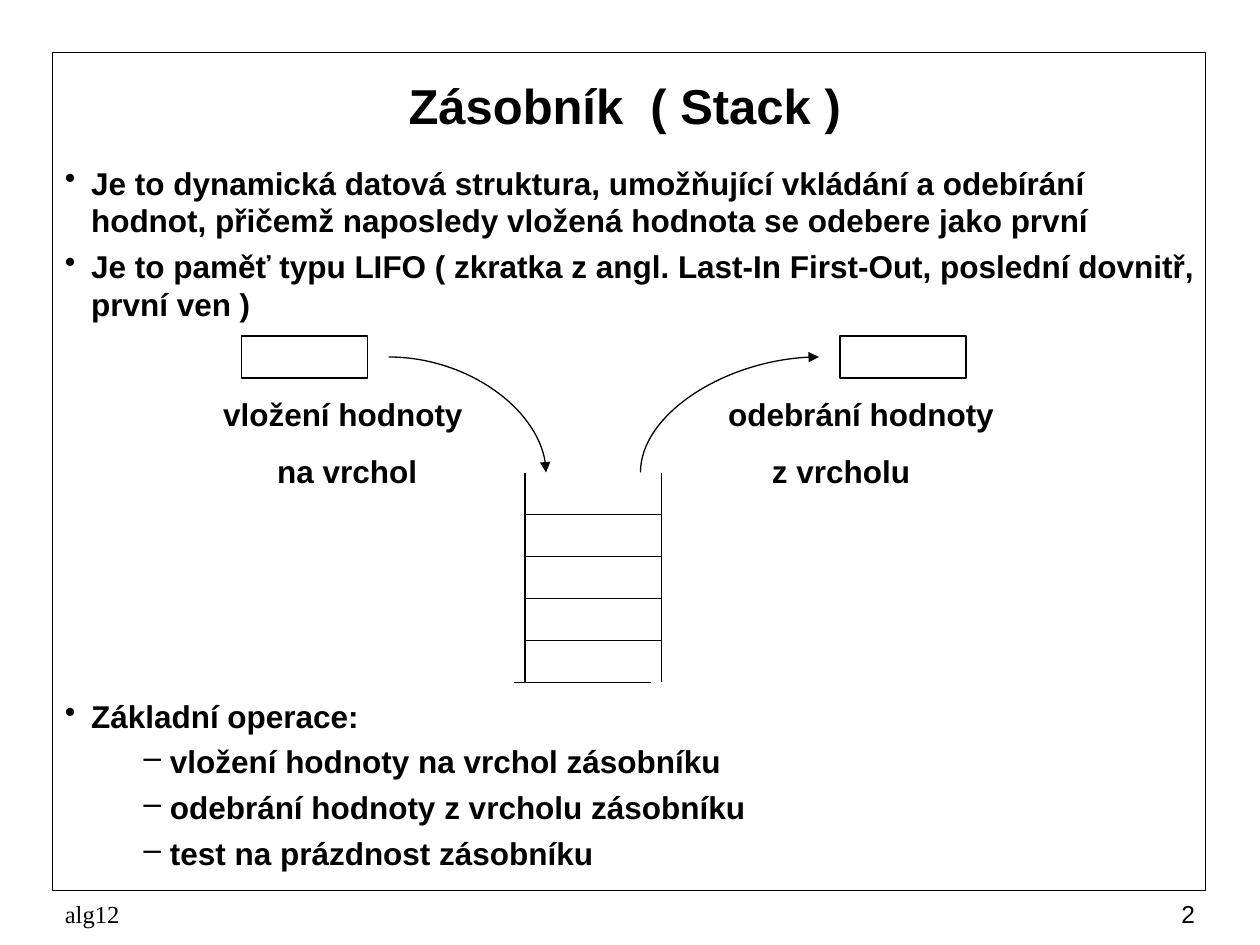
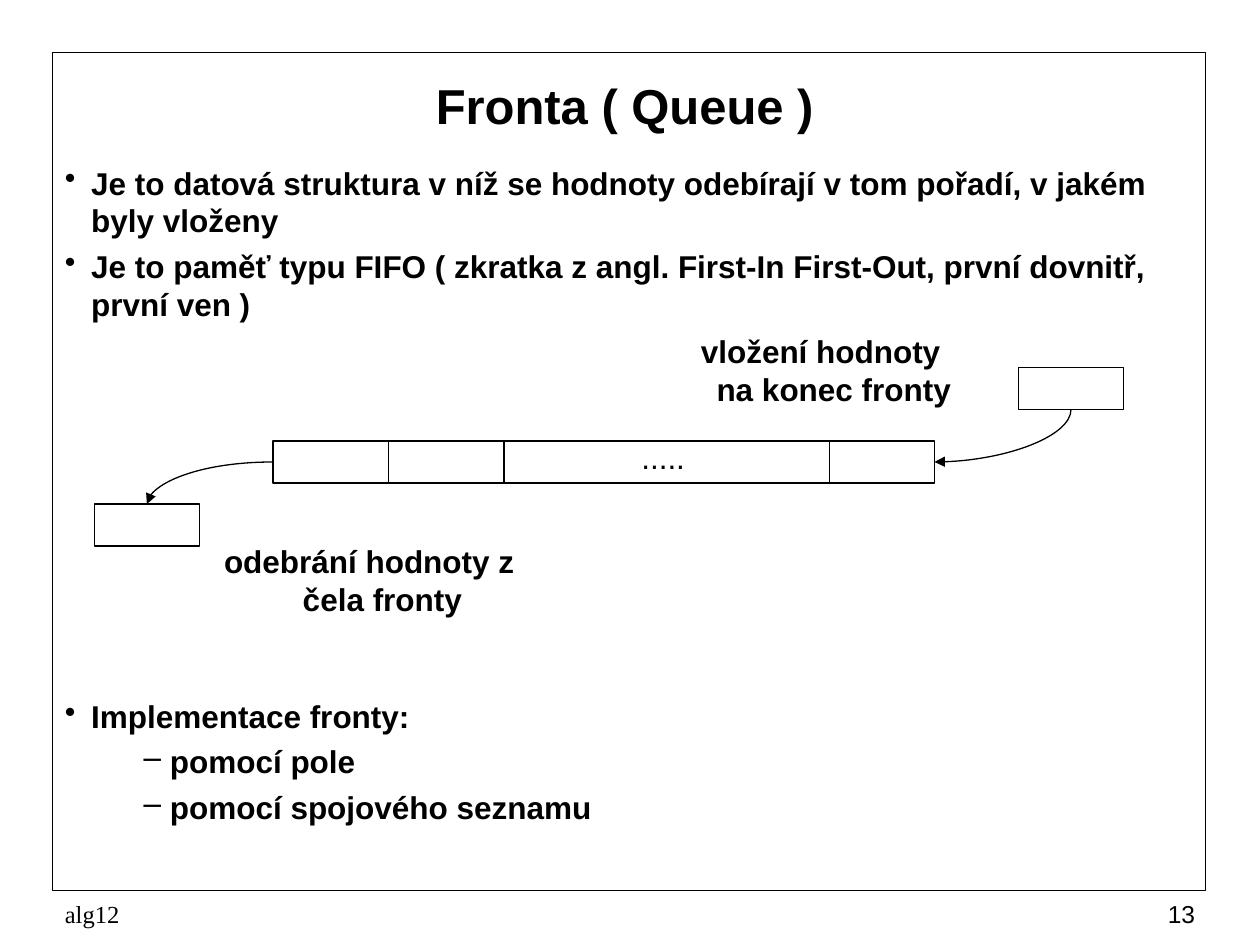
"""Build two slides on the stack and the queue."""
from pptx import Presentation
from pptx.dml.color import RGBColor
from pptx.enum.shapes import MSO_CONNECTOR as Link, MSO_SHAPE as Kind
from pptx.enum.text import MSO_ANCHOR as Anchor, PP_ALIGN as Align
from pptx.oxml.ns import qn
from pptx.util import Pt
from lxml.etree import SubElement as Sub

BLACK = RGBColor(0, 0, 0)
WHITE = RGBColor(255, 255, 255)
SANS, SERIF = "Arial", "Times New Roman"
FRAME = (30, 30, 659, 479)
TITLE = (36, 36, 642, 48)
INTRO = (30, 90, 660, 100)
LIST = (30, 394.6, 660, 115)
FOOT = (30, 510, 660, 24)
STACK = (102, 192, 486, 198)
QUEUE = (54, 186, 588, 171)
LEAF = 24
HANG = (23, -15)
MAIN = (15, -15, "•", 0)
ITEM = (60, -15, "–", 1)


def write(slide, box, lines, size=18, bold=True, font=SANS,
          align=Align.LEFT, anchor=Anchor.TOP, gap=0):
    """Put lines of (text, margin, indent, bullet, level) in a text box."""
    frame = slide.shapes.add_textbox(*map(Pt, box)).text_frame
    frame.word_wrap = True
    frame.vertical_anchor = anchor
    for i, (text, left, first, mark, level) in enumerate(lines):
        para = frame.add_paragraph() if i else frame.paragraphs[0]
        para.alignment, para.level = align, level
        para.line_spacing = Pt(size * 1.2)
        para.space_before = Pt(gap if i else 0)
        props = para._p.get_or_add_pPr()
        props.set("marL", str(Pt(left)))
        props.set("indent", str(Pt(first)))
        if mark:
            Sub(props, qn("a:buChar"), char=mark)
        run = para.add_run()
        run.text = text
        run.font.name, run.font.size, run.font.bold = font, Pt(size), bold
        run.font.color.rgb = BLACK


def plain(text):
    """Give one line without indent or bullet."""
    return [(text, 0, 0, None, 0)]


def label(slide, box, *texts, bold=True):
    """Write centred lines with a hanging indent."""
    write(slide, box, [(text, *HANG, None, 0) for text in texts],
          bold=bold, align=Align.CENTER, gap=11.2)


def rect(slide, box, width=0.75):
    """Draw an outlined rectangle without fill."""
    shape = slide.shapes.add_shape(Kind.RECTANGLE, *map(Pt, box))
    shape.shadow.inherit = False
    shape.fill.background()
    shape.line.color.rgb = BLACK
    shape.line.width = Pt(width)


def line(slide, *ends, kind=Link.STRAIGHT):
    """Draw a thin line from x, y to x, y."""
    link = slide.shapes.add_connector(kind, *map(Pt, ends))
    link.line.color.rgb = BLACK
    link.line.width = Pt(0.75)
    Sub(link._element.spPr, qn("a:effectLst"))
    return link


def curve(slide, x1, y1, x2, y2, steep=False):
    """Draw a quarter-turn arrow that starts level, or steep if asked."""
    if steep:
        mx, my = (x1 + x2) / 2, (y1 + y2) / 2
        dx, dy = (x2 - x1) / 2, (y2 - y1) / 2
        x1, y1, x2, y2 = mx - dy, my + dx, mx + dy, my - dx
    link = line(slide, x1, y1, x2, y2, kind=Link.CURVE)
    props = link._element.spPr
    props.find(qn("a:prstGeom")).set("prst", "curvedConnector2")
    if steep:
        props.find(qn("a:xfrm")).set("rot", str(90 * 60000))
    Sub(props.find(qn("a:ln")), qn("a:tailEnd"), type="triangle")


def foot(slide, box, number):
    """Write the course name at left and the page number at right."""
    x, y, w, h = box
    write(slide, (x, y, 228, h), plain("alg12"), 14, False, SERIF,
          anchor=Anchor.MIDDLE)
    write(slide, (x + w - 150, y, 150, h), plain(number), 14, False,
          align=Align.RIGHT, anchor=Anchor.MIDDLE)


def page(deck, title, intro, head, items, number):
    """Add a slide with frame, title, two lists and footer."""
    slide = deck.slides.add_slide(deck.slide_layouts[6])
    slide.background.fill.solid()
    slide.background.fill.fore_color.rgb = WHITE
    rect(slide, FRAME, 1)
    write(slide, TITLE, plain(title), 28, align=Align.CENTER,
          anchor=Anchor.MIDDLE)
    write(slide, INTRO, [(text, *MAIN) for text in intro], gap=4.5)
    write(slide, LIST, [(head, *MAIN)] + [(text, *ITEM) for text in items],
          gap=4.5)
    foot(slide, FOOT, number)
    return slide


def stack(slide, box):
    """Draw the stack with values going in and out at the top."""
    x, y, w, h = box
    left, right, top, base = x + 198, x + 276, y + 78, y + h
    for side in (left, right):
        line(slide, side, top, side, base)
    for i in range(1, 5):
        line(slide, left, top + i * LEAF, right, top + i * LEAF)
    line(slide, left - 6, base, right - 6, base)
    for off in (36, 378):
        rect(slide, (x + off, y, 72, LEAF))
    curve(slide, x + 120, y + 12, left + 12, top)
    curve(slide, right - 12, top, x + 366, y + 12, steep=True)
    label(slide, (x, y + 30, 180, 62), "vložení hodnoty", " na vrchol")
    write(slide, (x + 264, y + 30, w - 264, 62),
          [("odebrání hodnoty", 43, 0, None, 0),
           ("z vrcholu", 68, 0, None, 0)], gap=11.2)


def queue(slide, box):
    """Draw the queue with values going in at right and out at left."""
    x, y, w, h = box
    left, right, top = x + 102, x + 480, y + 66
    mid = top + LEAF / 2
    rect(slide, (left, top, right - left, LEAF))
    for off in (66, 132, 318):
        line(slide, left + off, top, left + off, top + LEAF)
    rect(slide, (x, y + 102, 60, LEAF))
    rect(slide, (x + w - 60, y + 24, 60, LEAF))
    curve(slide, left, mid, x + 30, y + 102)
    curve(slide, x + w - 30, y + 48, right, mid, steep=True)
    label(slide, (x + 54, y + 120, 198, 51), "odebrání hodnoty z čela fronty")
    label(slide, (x + 324, y, 174, 51), "vložení hodnoty na konec fronty")
    label(slide, (x + 264, y + 61, 114, 29), ".....", bold=False)


def main():
    """Build both slides and save them."""
    deck = Presentation()
    deck.slide_width, deck.slide_height = Pt(720), Pt(540)
    stack(page(
        deck, "Zásobník  ( Stack )",
        ["Je to dynamická datová struktura, umožňující vkládání a odebírání "
         "hodnot, přičemž naposledy vložená hodnota se odebere jako první",
         "Je to paměť typu LIFO ( zkratka z angl. Last-In First-Out, "
         "poslední dovnitř, první ven )"],
        "Základní operace:",
        ["vložení hodnoty na vrchol zásobníku",
         "odebrání hodnoty z vrcholu zásobníku",
         "test na prázdnost zásobníku"], "2"), STACK)
    queue(page(
        deck, "Fronta ( Queue )",
        ["Je to datová struktura v níž se hodnoty odebírají v tom pořadí, "
         "v jakém byly vloženy",
         "Je to paměť typu FIFO ( zkratka z angl. First-In First-Out, "
         "první dovnitř, první ven )"],
        "Implementace fronty:",
        ["pomocí pole", "pomocí spojového seznamu"], "13"), QUEUE)
    deck.save("out.pptx")


if __name__ == "__main__":
    main()
